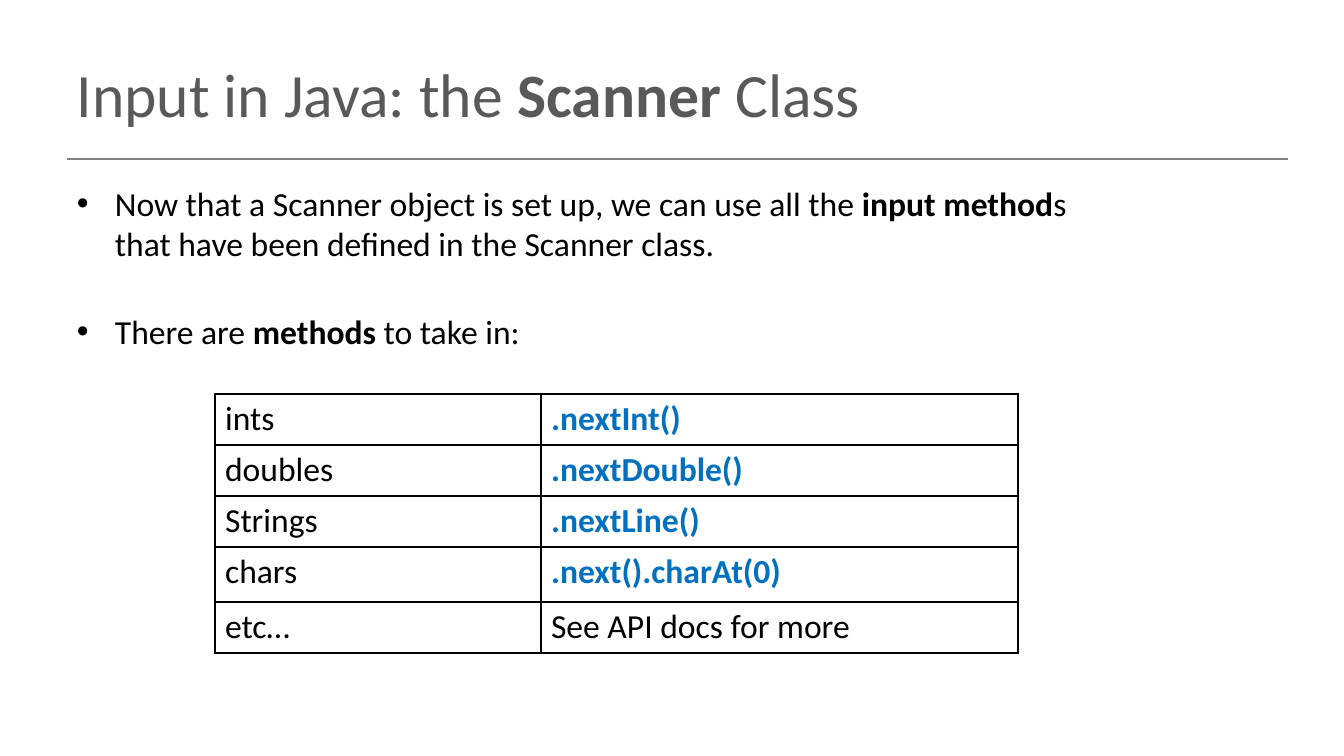
from lxml import etree
from pptx import Presentation
from pptx.dml.color import RGBColor
from pptx.enum.shapes import MSO_CONNECTOR
from pptx.enum.text import MSO_ANCHOR
from pptx.oxml.ns import qn
from pptx.util import Emu, Pt

STRAIGHT = MSO_CONNECTOR.STRAIGHT
MIDDLE = MSO_ANCHOR.MIDDLE
THEME = {
    "font": "Calibri",
    "title_size": 44,
    "body_size": 24,
    "title": "595959",
    "text": "000000",
    "method": "0070C0",
    "rule": "808080",
    "border": "000000",
}


def px(length):
    return Emu(round(length * 914400 / 100.8))


def write(paragraph, runs, size, color):
    paragraph.font.name = THEME["font"]
    paragraph.font.size = Pt(THEME[size])
    paragraph.font.color.rgb = RGBColor.from_string(THEME[color])
    for text, bold in runs:
        if text == "\n":
            paragraph.add_line_break()
            continue
        run = paragraph.add_run()
        run.text = text
        run.font.bold = bold


presentation = Presentation()
presentation.slide_width = px(1344)
presentation.slide_height = px(756)
slide = presentation.slides.add_slide(presentation.slide_layouts[6])

rule = slide.shapes.add_connector(STRAIGHT, px(67), px(159), px(1288), px(159))
rule.line.color.rgb = RGBColor.from_string(THEME["rule"])
rule.line.width = Pt(1)
etree.SubElement(rule.element.spPr, qn("a:effectLst"))

title = slide.shapes.add_textbox(px(67), px(30), px(1210), px(126)).text_frame
title.word_wrap = True
title.vertical_anchor = MIDDLE
title_runs = [("Input in Java: the ", False), ("Scanner ", True), ("Class", False)]
write(title.paragraphs[0], title_runs, "title_size", "title")

bullets = [
    [
        ("Now that a Scanner object is set up, we can use all the ", False),
        ("input method", True),
        ("s", False),
        ("\n", False),
        ("that have been defined in the Scanner class.", False),
    ],
    [("There are ", False), ("methods", True), (" to take in:", False)],
]
body = slide.shapes.add_textbox(px(67), px(178), px(1058), px(535)).text_frame
body.word_wrap = True
for index, runs in enumerate(bullets):
    paragraph = body.paragraphs[0]
    if index:
        paragraph = body.add_paragraph()
        paragraph.space_before = Pt(34)
    properties = paragraph._p.get_or_add_pPr()
    properties.set("marL", str(px(38)))
    properties.set("indent", str(px(-38)))
    etree.SubElement(properties, qn("a:buFont"), typeface="Arial")
    etree.SubElement(properties, qn("a:buChar"), char="•")
    write(paragraph, runs, "body_size", "text")

methods = [
    ("ints", ".nextInt()"),
    ("doubles", ".nextDouble()"),
    ("Strings", ".nextLine()"),
    ("chars", ".next().charAt(0)"),
    ("etc…", "See API docs for more"),
]
column_widths = [326, 477]
row_heights = [51, 51, 51, 55, 51]
table = slide.shapes.add_table(
    len(methods), len(column_widths), px(215), px(394),
    px(sum(column_widths)), px(sum(row_heights)),
).table
table.first_row = False
table.horz_banding = False
for column, width in zip(table.columns, column_widths):
    column.width = px(width)
for row, height, texts in zip(table.rows, row_heights, methods):
    row.height = px(height)
    for cell, text in zip(row.cells, texts):
        is_method = text.startswith(".")
        color = "method" if is_method else "text"
        write(cell.text_frame.paragraphs[0], [(text, is_method)], "body_size", color)
        properties = cell._tc.get_or_add_tcPr()
        for side in ("lnL", "lnR", "lnT", "lnB"):
            border = etree.SubElement(properties, qn(f"a:{side}"), w=str(Pt(1)))
            fill = etree.SubElement(border, qn("a:solidFill"))
            etree.SubElement(fill, qn("a:srgbClr"), val=THEME["border"])
        cell.fill.background()

presentation.save("out.pptx")
